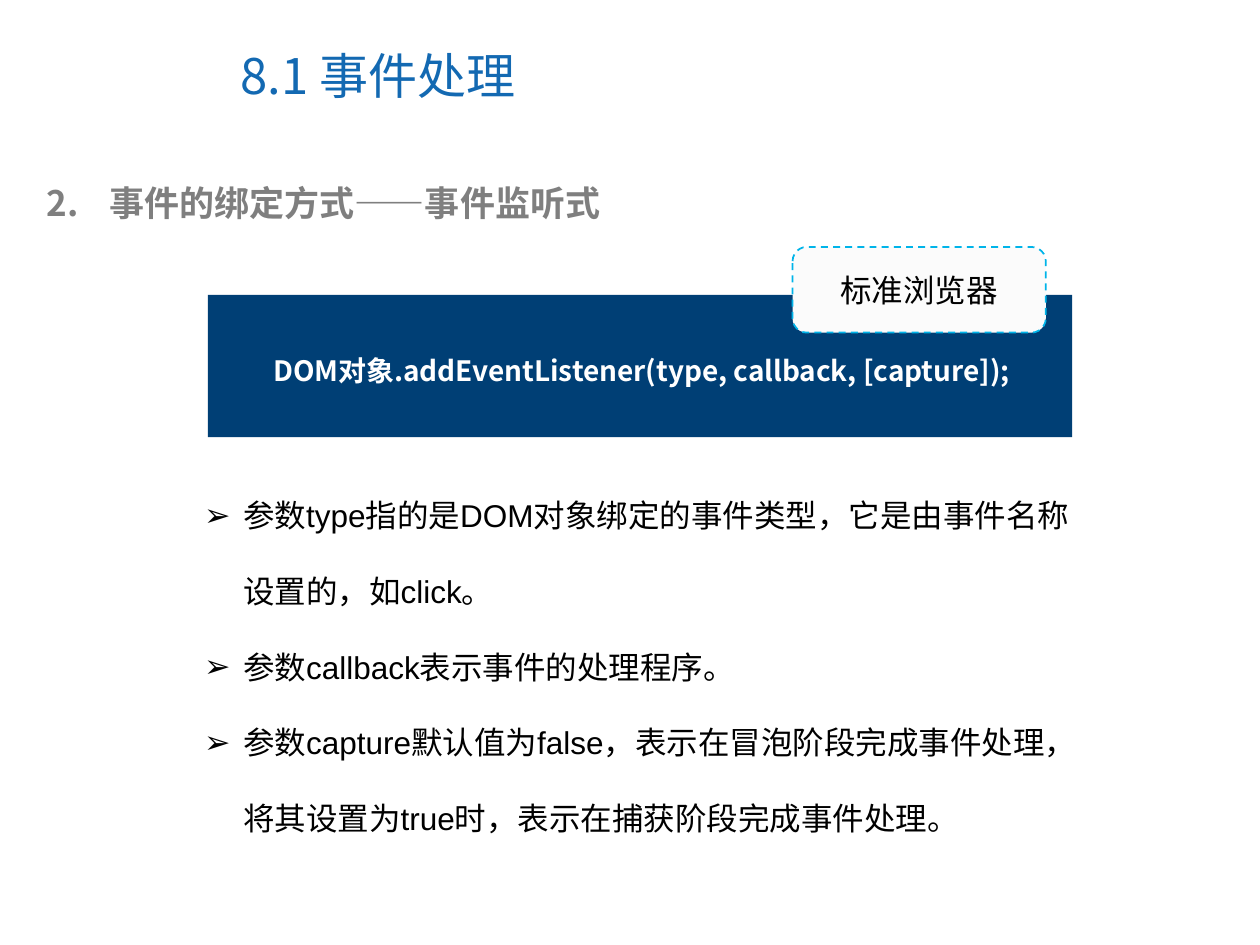
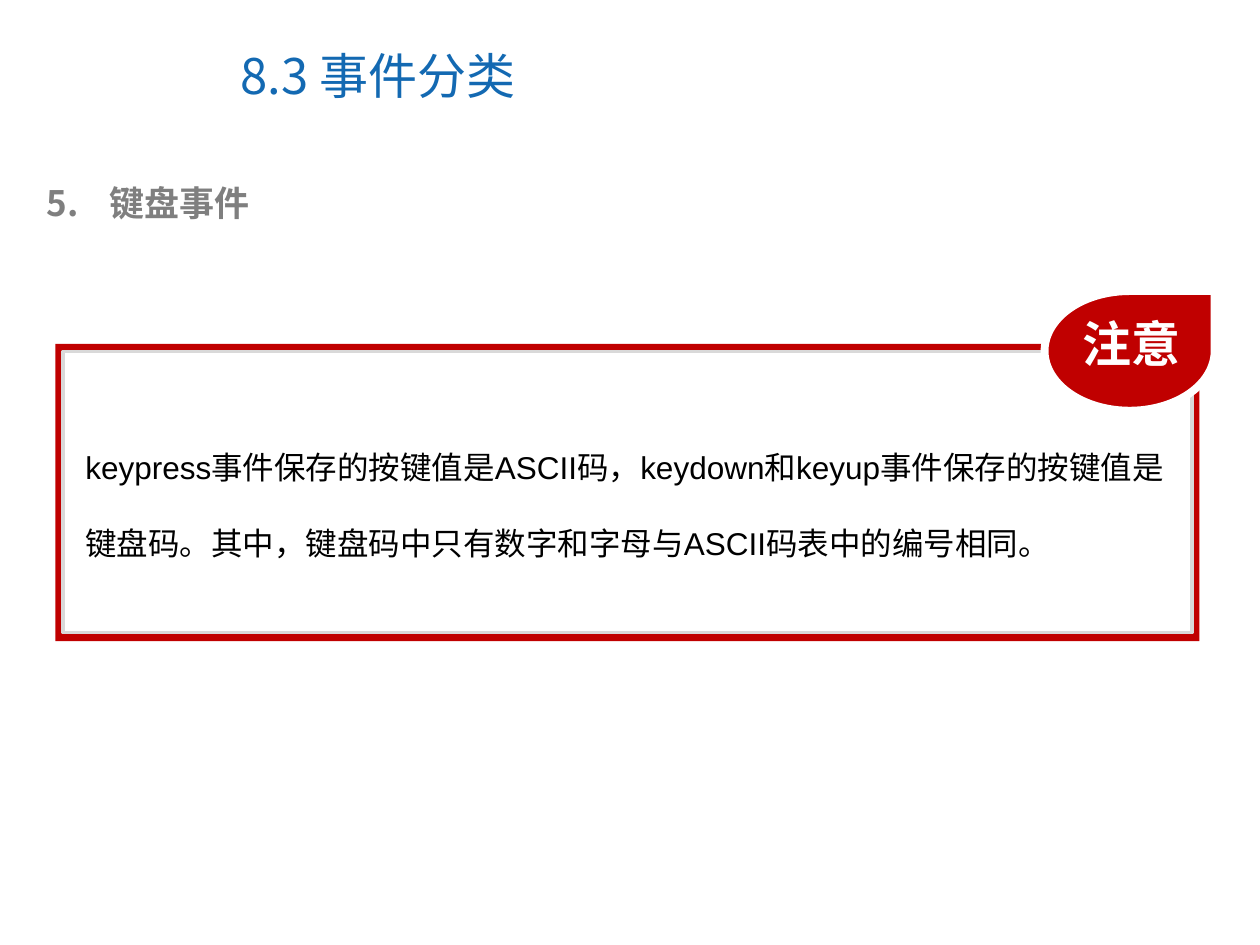
from pptx import Presentation
from pptx.dml.color import RGBColor
from pptx.enum.dml import MSO_LINE
from pptx.enum.shapes import MSO_SHAPE
from pptx.enum.text import MSO_ANCHOR, MSO_AUTO_SIZE, PP_ALIGN
from pptx.oxml.ns import qn
from pptx.util import Pt
from lxml.etree import SubElement

PX = 9144  # 100 px to the inch
BLUE = RGBColor(0x13, 0x69, 0xB2)
NAVY = RGBColor(0x00, 0x3F, 0x75)
CYAN = RGBColor(0x00, 0xB4, 0xE9)
RED = RGBColor(0xC0, 0x00, 0x00)
GREY = RGBColor(0x7F, 0x7F, 0x7F)
SILVER = RGBColor(0xD9, 0xD9, 0xD9)
PALE = RGBColor(0xFB, 0xFB, 0xFB)
WHITE = RGBColor(0xFF, 0xFF, 0xFF)
BLACK = RGBColor(0x00, 0x00, 0x00)
SANS, ARIAL = "Noto Sans CJK SC", "Arial"


def write(shape, lines, size, color, face=ARIAL, bold=False, space=1.0,
          align=PP_ALIGN.LEFT, anchor=MSO_ANCHOR.TOP, wrap=True, indent=0, bullet=None):
    """Fill a shape with paragraphs; bullet is a tag and its attributes."""
    frame = shape.text_frame
    frame.text = "\n".join(lines)
    frame.word_wrap = wrap
    frame.auto_size = MSO_AUTO_SIZE.NONE
    frame.vertical_anchor = anchor
    for para in frame.paragraphs:
        para.alignment = align
        para.line_spacing = space
        para.space_before = Pt(0)
        props = para._p.get_or_add_pPr()
        if bullet:
            tag, attrs = bullet
            props.set("marL", str(indent * PX))
            props.set("indent", str(-indent * PX))
            SubElement(props, qn(tag), attrs)
        font = para.font
        font.size, font.bold, font.name = Pt(size), bold, face
        font.color.rgb = color
        SubElement(props.find(qn("a:defRPr")), qn("a:ea"), typeface=SANS)


def draw(slide, kind, box, fill, line=None, width=0):
    shape = slide.shapes.add_shape(kind, *[n * PX for n in box])
    shape.shadow.inherit = False
    shape.fill.solid()
    shape.fill.fore_color.rgb = fill
    if line is None:
        shape.line.fill.background()
    else:
        shape.line.color.rgb = line
        shape.line.width = Pt(width)
    return shape


deck = Presentation()
deck.slide_width, deck.slide_height = 1000 * PX, 750 * PX

# Title and numbered heading on each slide
pages = []
for layout, title, start, topic in [
    (1, "8.1 事件处理", 2, "事件的绑定方式——事件监听式"),
    (5, "8.3 事件分类", 5, "键盘事件"),
]:
    slide = deck.slides.add_slide(deck.slide_layouts[layout])
    head = slide.shapes.title
    head.left, head.top, head.width, head.height = 181 * PX, 17 * PX, 516 * PX, 85 * PX
    write(head, [title], 28, BLUE, SANS, anchor=MSO_ANCHOR.MIDDLE)
    text = slide.shapes.add_textbox(27 * PX, 139 * PX, 922 * PX, 44 * PX)
    write(text, [topic], 20, GREY, SANS, True, indent=50,
          bullet=("a:buAutoNum", {"type": "arabicPeriod", "startAt": str(start)}))
    pages.append(slide)
listen, keys = pages

# Event listener: syntax band, browser label, parameters
body = listen.placeholders[1]
body.left, body.top, body.width, body.height = 152 * PX, 359 * PX, 719 * PX, 310 * PX
write(body, [
    "参数type指的是DOM对象绑定的事件类型，它是由事件名称设置的，如click。",
    "参数callback表示事件的处理程序。",
    "参数capture默认值为false，表示在冒泡阶段完成事件处理，将其设置为true时，表示在捕获阶段完成事件处理。",
], 18, BLACK, space=2.0, indent=31, bullet=("a:buChar", {"char": "➢"}))

draw(listen, MSO_SHAPE.RECTANGLE, (165, 234, 686, 113), NAVY)
code = listen.shapes.add_textbox(207 * PX, 262 * PX, 623 * PX, 50 * PX)
write(code, ["DOM对象.addEventListener(type, callback, [capture]);"],
      16, WHITE, SANS, True, 1.5)
label = draw(listen, MSO_SHAPE.ROUNDED_RECTANGLE, (629, 196, 201, 68), PALE, CYAN, 1)
label.line.dash_style = MSO_LINE.DASH
write(label, ["标准浏览器"], 18, BLACK, align=PP_ALIGN.CENTER, anchor=MSO_ANCHOR.MIDDLE)

# Keyboard events: framed note with a drop-shaped tag
draw(keys, MSO_SHAPE.RECTANGLE, (44, 273, 908, 236), RED)
draw(keys, MSO_SHAPE.RECTANGLE, (50, 279, 896, 223), WHITE, SILVER, 2)
draw(keys, MSO_SHAPE.TEAR, (829, 231, 135, 95), RED, WHITE, 4.5)
tag = keys.shapes.add_textbox(849 * PX, 244 * PX, 97 * PX, 57 * PX)
write(tag, ["注意"], 28, WHITE, SANS, True, wrap=False)
note = keys.shapes.add_textbox(58 * PX, 321 * PX, 890 * PX, 130 * PX)
write(note, ["keypress事件保存的按键值是ASCII码，keydown和keyup事件保存的按键值是键盘码。"
             "其中，键盘码中只有数字和字母与ASCII码表中的编号相同。"], 18, BLACK, space=2.0)

deck.save("out.pptx")
